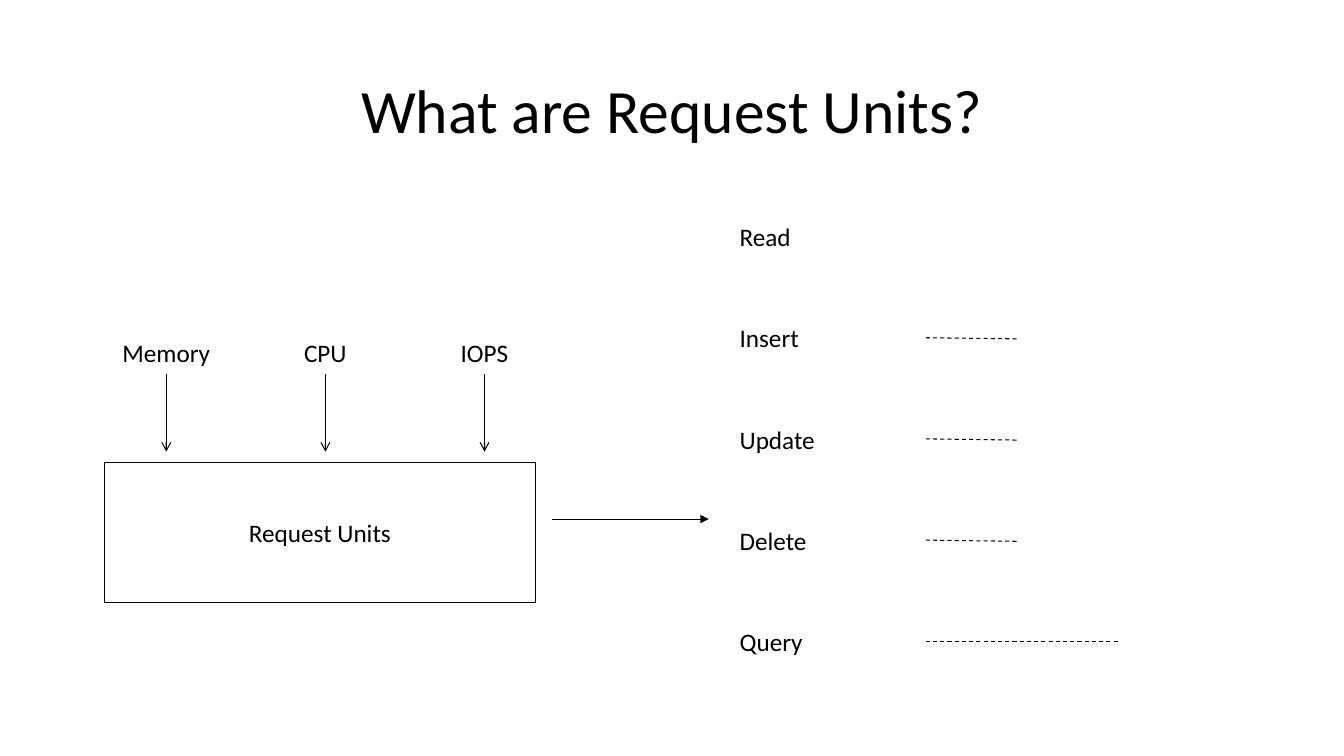
from pptx import Presentation
from pptx.dml.color import RGBColor
from pptx.enum.dml import MSO_LINE
from pptx.enum.shapes import MSO_CONNECTOR, MSO_SHAPE
from pptx.enum.text import MSO_ANCHOR, PP_ALIGN
from pptx.oxml.ns import qn
from pptx.util import Cm, Pt
from lxml import etree

LEFT, CENTER = PP_ALIGN.LEFT, PP_ALIGN.CENTER
TOP, MIDDLE = MSO_ANCHOR.TOP, MSO_ANCHOR.MIDDLE
DASH = MSO_LINE.DASH
STRAIGHT = MSO_CONNECTOR.STRAIGHT
RECTANGLE = MSO_SHAPE.RECTANGLE
BLACK, WHITE = "000000", "FFFFFF"


def write_text(shape, text, size=18, align=LEFT, anchor=TOP, line_spacing=None):
    frame = shape.text_frame
    frame.word_wrap = True
    frame.vertical_anchor = anchor
    paragraph = frame.paragraphs[0]
    paragraph.text = text
    paragraph.alignment = align
    paragraph.line_spacing = line_spacing
    font_format = {"name": "Calibri", "size": Pt(size)}
    for attribute, value in font_format.items():
        setattr(paragraph.font, attribute, value)
    paragraph.font.color.rgb = RGBColor.from_string(BLACK)


def add_line(x1, y1, x2, y2, width=0.75, dash=None, arrowhead=None):
    connector = slide.shapes.add_connector(STRAIGHT, Cm(x1), Cm(y1), Cm(x2), Cm(y2))
    connector.line.color.rgb = RGBColor.from_string(BLACK)
    line_format = {"width": Pt(width), "dash_style": dash}
    for attribute, value in line_format.items():
        setattr(connector.line, attribute, value)
    if arrowhead:
        line_element = connector.line._get_or_add_ln()
        etree.SubElement(line_element, qn("a:tailEnd"), type=arrowhead)
    etree.SubElement(connector._element.spPr, qn("a:effectLst"))


presentation = Presentation()
presentation.slide_width = Cm(33.87)
presentation.slide_height = Cm(19.05)
slide = presentation.slides.add_slide(presentation.slide_layouts[6])

# Title
title = slide.shapes.add_textbox(Cm(2.33), Cm(1.01), Cm(29.21), Cm(3.68))
write_text(title, "What are Request Units?", 44, CENTER, MIDDLE, 0.9)

# Request units box
units_box = slide.shapes.add_shape(RECTANGLE, Cm(2.64), Cm(11.66), Cm(10.85), Cm(3.53))
units_box.shadow.inherit = False
units_box.fill.solid()
units_box.fill.fore_color.rgb = RGBColor.from_string(WHITE)
units_box.line.color.rgb = RGBColor.from_string(BLACK)
units_box.line.width = Pt(1)
write_text(units_box, "Request Units", align=CENTER, anchor=MIDDLE)

# Resources flowing into the box
resource_width = 3.1
for column, resource in enumerate(["Memory", "CPU", "IOPS"]):
    left = 2.64 + 4.01 * column
    label = slide.shapes.add_textbox(Cm(left), Cm(8.38), Cm(resource_width), Cm(1.02))
    write_text(label, resource, align=CENTER)
    center = left + resource_width / 2
    add_line(center, 9.42, center, 11.38, arrowhead="arrow")

# Arrow from the box to the operations
add_line(13.92, 13.08, 17.86, 13.08, width=0.5, arrowhead="triangle")

# Operations: label width, dashed line end and drop
operations = [
    ("Read", 2.13, None, 0),
    ("Insert", 2.13, 25.64, 0.03),
    ("Update", 2.54, 25.64, 0.03),
    ("Delete", 2.39, 25.64, 0.03),
    ("Query", 2.13, 28.17, 0),
]
for row, (operation, width, line_end, drop) in enumerate(operations):
    top = 5.46 + 2.55 * row
    label = slide.shapes.add_textbox(Cm(18.39), Cm(top), Cm(width), Cm(1.02))
    write_text(label, operation)
    if line_end:
        add_line(23.33, top + 0.5, line_end, top + 0.5 + drop, dash=DASH)

presentation.save("out.pptx")
